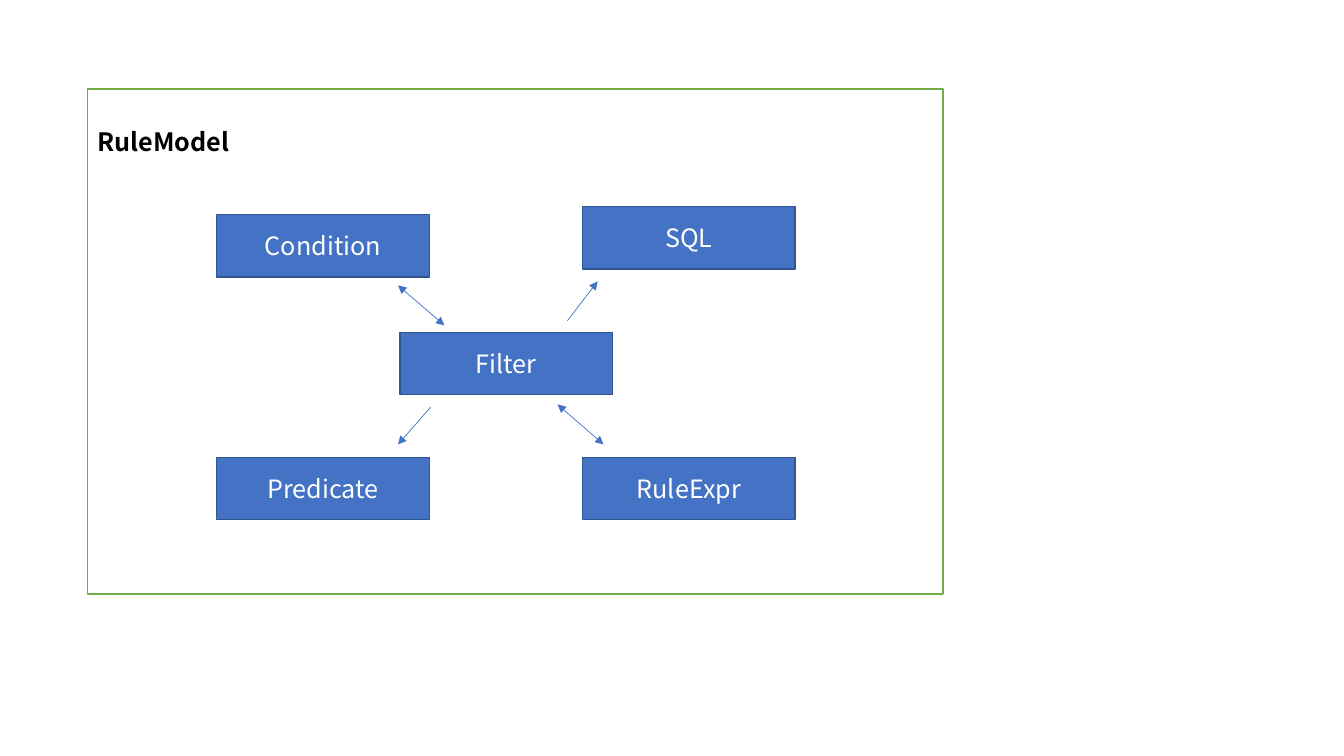
import pptx
import pptx.dml.color
import pptx.enum.shapes
import pptx.enum.text
import pptx.oxml.ns
import pptx.util
from lxml import etree

Cm = pptx.util.Cm
Pt = pptx.util.Pt
RGBColor = pptx.dml.color.RGBColor
qn = pptx.oxml.ns.qn

WHITE = RGBColor(0xFF, 0xFF, 0xFF)
BLACK = RGBColor(0x00, 0x00, 0x00)
BLUE = RGBColor(0x44, 0x72, 0xC4)
DARK_BLUE = RGBColor(0x32, 0x54, 0x91)
GREEN = RGBColor(0x70, 0xAD, 0x47)


class Diagram:
    font_name = "Noto Sans CJK SC"
    font_size = Pt(18)
    node_width = 5.36
    node_height = 1.57

    def __init__(self, page):
        self.page = page

    def label(self, box, text, color, bold=False):
        box.text_frame.text = text
        paragraph = box.text_frame.paragraphs[0]
        font = paragraph.runs[0].font
        font.name = self.font_name
        font.size = self.font_size
        font.bold = bold
        font.color.rgb = color
        return paragraph

    def rectangle(self, left, top, width, height, fill, outline):
        box = self.page.shapes.add_shape(
            pptx.enum.shapes.MSO_SHAPE.RECTANGLE,
            Cm(left), Cm(top), Cm(width), Cm(height))
        box.shadow.inherit = False
        box.fill.solid()
        box.fill.fore_color.rgb = fill
        box.line.color.rgb = outline
        box.line.width = Pt(1)
        return box

    def heading(self, text, left, top, width, height):
        box = self.page.shapes.add_textbox(Cm(left), Cm(top), Cm(width), Cm(height))
        box.text_frame.word_wrap = True
        box.text_frame.auto_size = pptx.enum.text.MSO_AUTO_SIZE.SHAPE_TO_FIT_TEXT
        self.label(box, text, BLACK, bold=True)

    def node(self, text, left, top):
        box = self.rectangle(left, top, self.node_width, self.node_height, BLUE, DARK_BLUE)
        box.text_frame.vertical_anchor = pptx.enum.text.MSO_ANCHOR.MIDDLE
        paragraph = self.label(box, text, WHITE)
        paragraph.alignment = pptx.enum.text.PP_ALIGN.CENTER

    def arrow(self, start, end, both_ways):
        connector = self.page.shapes.add_connector(
            pptx.enum.shapes.MSO_CONNECTOR.STRAIGHT,
            Cm(start[0]), Cm(start[1]), Cm(end[0]), Cm(end[1]))
        connector.line.color.rgb = BLUE
        connector.line.width = Pt(0.5)
        properties = connector.element.spPr
        line = properties.find(qn("a:ln"))
        for tip in ("a:headEnd", "a:tailEnd") if both_ways else ("a:tailEnd",):
            etree.SubElement(line, qn(tip), type="triangle")
        etree.SubElement(properties, qn("a:effectLst"))


def main():
    deck = pptx.Presentation()
    deck.slide_width = Cm(33.87)
    deck.slide_height = Cm(19.05)
    diagram = Diagram(deck.slides.add_slide(deck.slide_layouts[6]))

    # Frame and heading
    diagram.rectangle(2.21, 2.24, 21.56, 12.73, WHITE, GREEN)
    diagram.heading("RuleModel", 2.21, 3.07, 4.57, 1.02)

    # Filter in the centre, the other parts around it
    left_column, right_column, bottom_row = 5.46, 14.68, 11.53
    for text, left, top in (
        ("Filter", 10.08, 8.38),
        ("Condition", left_column, 5.41),
        ("SQL", right_column, 5.21),
        ("Predicate", left_column, bottom_row),
        ("RuleExpr", right_column, bottom_row),
    ):
        diagram.node(text, left, top)

    # Arrows between Filter and its neighbours
    for start, end, both_ways in (
        ((10.03, 7.19), (11.2, 8.2), True),
        ((14.3, 8.08), (15.06, 7.09), False),
        ((14.05, 10.19), (15.21, 11.2), True),
        ((10.85, 10.26), (10.03, 11.2), False),
    ):
        diagram.arrow(start, end, both_ways)

    deck.save("out.pptx")


if __name__ == "__main__":
    main()
